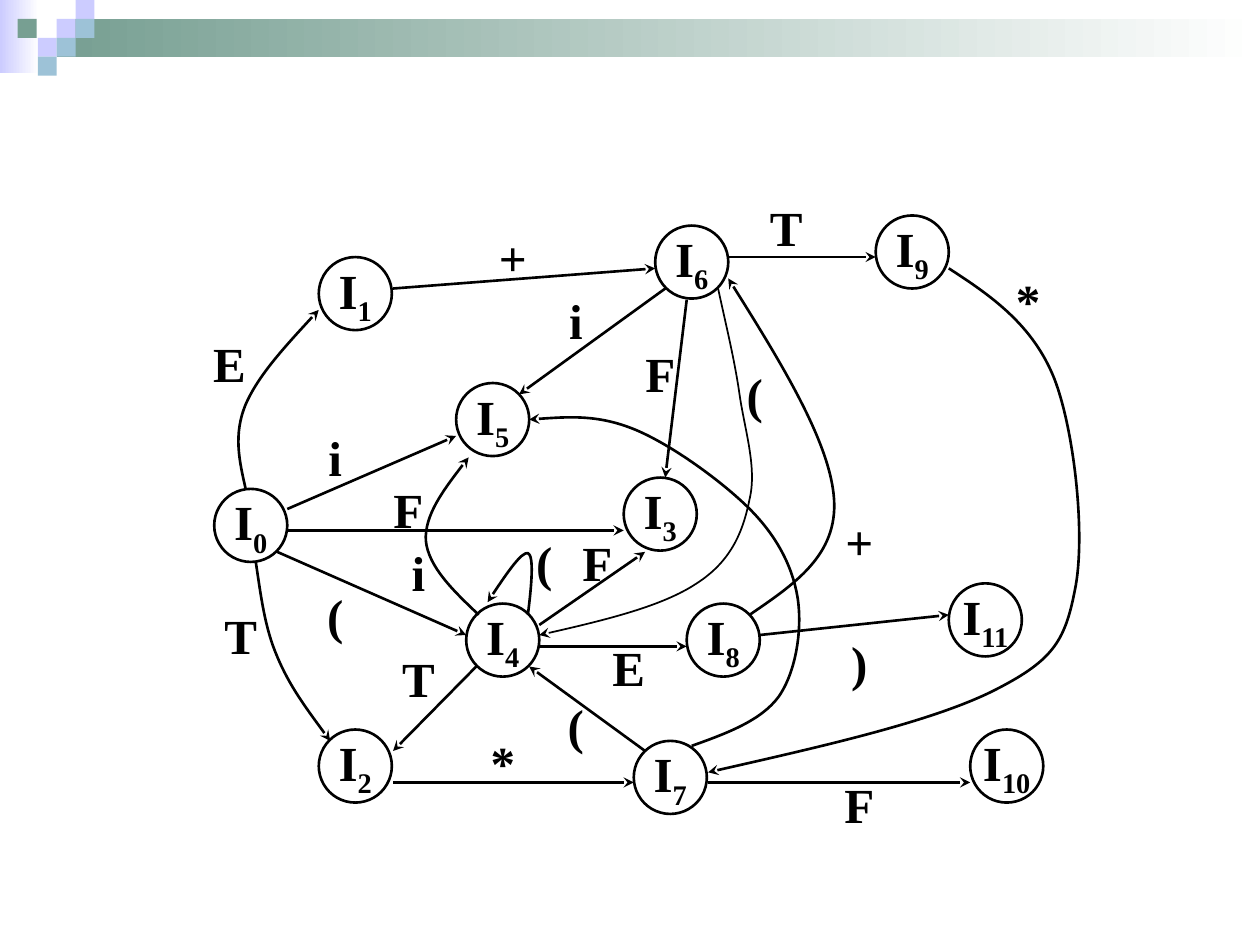
from dataclasses import dataclass

from lxml import etree
from pptx import Presentation
from pptx.dml.color import RGBColor
from pptx.enum import shapes, text
from pptx.oxml import ns
from pptx.util import Inches, Pt


@dataclass(frozen=True)
class Theme:
    ink: str = "000000"
    paper: str = "FFFFFF"
    lilac: str = "CCCCFF"
    green: str = "779F92"
    blue: str = "9DC2D7"
    font: str = "Times New Roman"
    size: float = 28
    line: float = 1.5
    thin: float = 1


@dataclass(frozen=True)
class State:
    number: int
    left: float
    top: float


@dataclass(frozen=True)
class Arrow:
    start: tuple[float, float]
    end: tuple[float, float]


@dataclass(frozen=True)
class Curve:
    """A start point followed by cubic segments: two controls and an end each."""
    points: list[tuple[float, float]]
    width: float = Theme.line


@dataclass(frozen=True)
class Label:
    symbol: str
    left: float
    top: float
    height: float = 0.5


THEME = Theme()
CELL = 0.58  # diameter of a state and width of a label
TILE = 0.15

BARS = [
    (0, 0, 0.31, 0.58, THEME.lilac),
    (0.45, 0.15, 9.55, 0.3, THEME.green),
]
TILES = [
    (0.45, 0.15, THEME.lilac), (0.6, 0, THEME.lilac), (0.6, 0.15, THEME.blue),
    (0.3, 0.3, THEME.lilac), (0.14, 0.15, THEME.green),
    (0.45, 0.3, THEME.blue), (0.3, 0.45, THEME.blue),
]
STATES = [
    State(0, 1.7, 3.88), State(1, 2.53, 2.04), State(2, 2.53, 5.79),
    State(3, 4.95, 3.79), State(4, 3.7, 4.79), State(5, 3.62, 3.04),
    State(6, 5.2, 1.79), State(7, 5.03, 5.88), State(8, 5.45, 4.79),
    State(9, 6.95, 1.71), State(10, 7.7, 5.79), State(11, 7.53, 4.63),
]
ARROWS = [
    Arrow((2.28, 4.04), (3.62, 3.46)),
    Arrow((2.28, 4.21), (4.95, 4.21)),
    Arrow((2.2, 4.38), (3.7, 5.04)),
    Arrow((3.78, 5.29), (3.12, 5.96)),
    Arrow((5.12, 5.96), (4.2, 5.29)),
    Arrow((3.12, 6.21), (5.03, 6.21)),
    Arrow((5.62, 6.21), (7.7, 6.21)),
    Arrow((3.12, 2.29), (5.2, 2.13)),
    Arrow((5.78, 2.04), (6.95, 2.04)),
    Arrow((4.28, 4.96), (5.12, 4.38)),
    Arrow((4.28, 5.13), (5.45, 5.13)),
    Arrow((5.28, 2.29), (4.12, 3.13)),
    Arrow((5.45, 2.38), (5.28, 3.79)),
    Arrow((6.03, 5.04), (7.53, 4.88)),
]
CURVES = [
    Curve([(1.95, 3.88), (1.9, 3.66), (1.85, 3.45), (1.95, 3.21),
           (2.05, 2.98), (2.29, 2.72), (2.53, 2.46)]),
    Curve([(2.03, 4.46), (2.07, 4.72), (2.1, 4.98), (2.2, 5.21),
           (2.3, 5.45), (2.46, 5.66), (2.62, 5.88)]),
    Curve([(3.8, 4.88), (3.6, 4.69), (3.4, 4.5), (3.38, 4.29),
           (3.37, 4.09), (3.54, 3.86), (3.72, 3.63)]),
    Curve([(4.19, 4.88), (4.22, 4.64), (4.24, 4.41), (4.19, 4.39),
           (4.14, 4.38), (4, 4.58), (3.87, 4.78)]),
    Curve([(5.49, 5.92), (5.77, 5.82), (6.04, 5.72), (6.18, 5.53),
           (6.32, 5.33), (6.37, 4.99), (6.33, 4.74),
           (6.29, 4.5), (6.17, 4.26), (5.95, 4.04),
           (5.73, 3.82), (5.33, 3.53), (5.04, 3.41),
           (4.75, 3.29), (4.47, 3.31), (4.2, 3.33)]),
    Curve([(5.95, 4.88), (6.3, 4.64), (6.65, 4.41), (6.62, 3.96),
           (6.59, 3.52), (6.19, 2.86), (5.78, 2.21)]),
    Curve([(7.53, 2.13), (7.87, 2.35), (8.2, 2.58), (8.37, 3.01),
           (8.53, 3.43), (8.62, 4.27), (8.53, 4.69),
           (8.45, 5.1), (8.35, 5.25), (7.87, 5.49),
           (7.38, 5.73), (6.5, 5.93), (5.62, 6.13)]),
    Curve([(5.7, 2.29), (5.76, 2.57), (5.83, 2.85), (5.87, 3.13),
           (5.91, 3.41), (6.01, 3.71), (5.95, 3.96),
           (5.9, 4.21), (5.81, 4.45), (5.53, 4.63),
           (5.26, 4.81), (4.77, 4.93), (4.28, 5.04)], THEME.thin),
]
LABELS = [
    Label("E", 1.53, 2.63), Label("+", 3.78, 1.79), Label("T", 5.95, 1.55),
    Label("*", 7.87, 2.13), Label("T", 1.62, 4.79), Label("T", 3.03, 5.13),
    Label("i", 2.37, 3.38), Label("F", 2.95, 3.79), Label("(", 2.37, 4.63),
    Label("i", 3.03, 4.29), Label("(", 4.03, 4.21), Label("F", 4.45, 4.21),
    Label("E", 4.7, 5.04), Label("(", 5.7, 2.88), Label("F", 4.95, 2.71),
    Label("i", 4.28, 2.29), Label("+", 6.53, 4.04), Label("F", 6.53, 6.13),
    Label("*", 3.7, 5.88, 0.33), Label("(", 4.28, 5.54, 0.42),
    Label(")", 6.53, 5.04, 0.42),
]


def rgb(value: str) -> RGBColor:
    return RGBColor.from_string(value)


def add_block(s, left: float, top: float, width: float, height: float,
              color: str, fade: bool = False) -> None:
    """Add a borderless rectangle, optionally fading to paper on the right."""
    sp = s.shapes.add_shape(shapes.MSO_SHAPE.RECTANGLE, Inches(left), Inches(top),
                            Inches(width), Inches(height))
    sp.shadow.inherit = False
    sp.line.fill.background()
    if fade:
        sp.fill.gradient()
        sp.fill.gradient_angle = 0
        for stop, shade, place in zip(sp.fill.gradient_stops, (color, THEME.paper), (0, 1)):
            stop.color.rgb = rgb(shade)
            stop.position = place
    else:
        sp.fill.solid()
        sp.fill.fore_color.rgb = rgb(color)


def write(sp, main: str, subscript: str = "") -> None:
    tf = sp.text_frame
    tf.word_wrap = False
    tf.vertical_anchor = text.MSO_ANCHOR.MIDDLE
    p = tf.paragraphs[0]
    p.alignment = text.PP_ALIGN.CENTER
    for content, baseline in ((main, 0), (subscript, -25000)):
        if not content:
            continue
        r = p.add_run()
        r.text = content
        r.font.name, r.font.size, r.font.bold = THEME.font, Pt(THEME.size), True
        r.font.color.rgb = rgb(THEME.ink)
        if baseline:
            r._r.get_or_add_rPr().set("baseline", str(baseline))


def style_arrow(sp, width: float) -> None:
    sp.line.color.rgb = rgb(THEME.ink)
    sp.line.width = Pt(width)
    etree.SubElement(sp.line._get_or_add_ln(), ns.qn("a:tailEnd"), type="stealth")


def add_state(s, state: State) -> None:
    sp = s.shapes.add_shape(shapes.MSO_SHAPE.OVAL, Inches(state.left), Inches(state.top),
                            Inches(CELL), Inches(CELL))
    sp.shadow.inherit = False
    sp.fill.background()
    sp.line.color.rgb = rgb(THEME.ink)
    sp.line.width = Pt(THEME.line)
    write(sp, "I", str(state.number))


def add_arrow(s, arrow: Arrow) -> None:
    sp = s.shapes.add_connector(shapes.MSO_CONNECTOR.STRAIGHT,
                                *map(Inches, arrow.start + arrow.end))
    style_arrow(sp, THEME.line)
    etree.SubElement(sp._element.spPr, ns.qn("a:effectLst"))


def add_curve(s, curve: Curve) -> None:
    """Lay out the points as a freeform, then join every three as one cubic."""
    start, *rest = [(Inches(x), Inches(y)) for x, y in curve.points]
    builder = s.shapes.build_freeform(*start)
    builder.add_line_segments(rest, close=False)
    sp = builder.convert_to_shape()
    sp.shadow.inherit = False
    sp.fill.background()
    style_arrow(sp, curve.width)
    outline = next(sp._element.iter(ns.qn("a:path")))
    steps = outline.findall(ns.qn("a:lnTo"))
    for i in range(0, len(steps), 3):
        cubic = etree.SubElement(outline, ns.qn("a:cubicBezTo"))
        for step in steps[i:i + 3]:
            cubic.append(step[0])
            outline.remove(step)


def add_label(s, label: Label) -> None:
    write(s.shapes.add_textbox(Inches(label.left), Inches(label.top), Inches(CELL),
                               Inches(label.height)), label.symbol)


def main() -> None:
    prs = Presentation()
    prs.slide_width, prs.slide_height = Inches(10), Inches(7.5)
    s = prs.slides.add_slide(prs.slide_layouts[6])
    for bar in BARS:
        add_block(s, *bar, fade=True)
    for left, top, color in TILES:
        add_block(s, left, top, TILE, TILE, color)
    for draw, items in ((add_state, STATES), (add_arrow, ARROWS),
                        (add_curve, CURVES), (add_label, LABELS)):
        for item in items:
            draw(s, item)
    prs.save("out.pptx")


if __name__ == "__main__":
    main()
